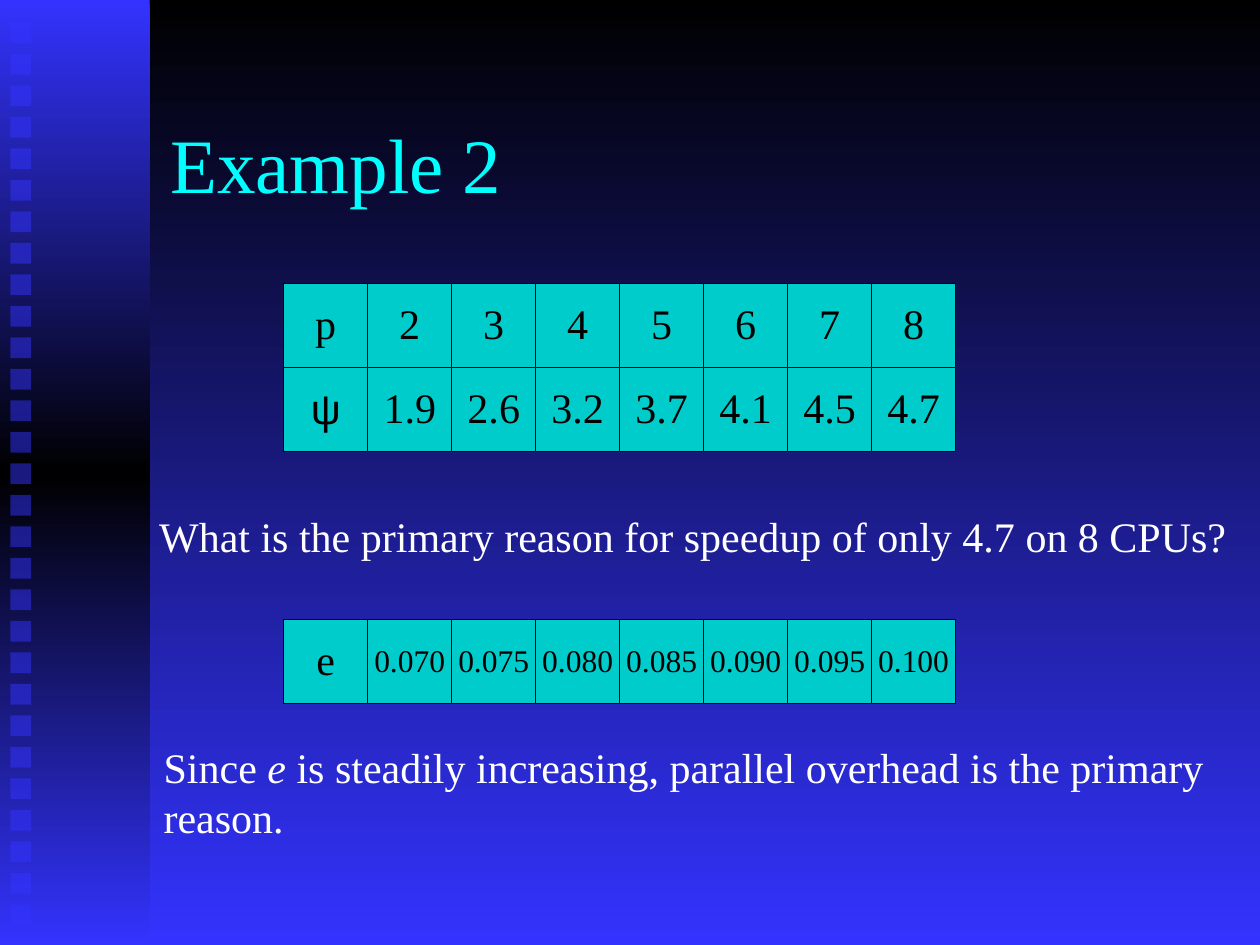
"""Build the "Example 2" speedup slide."""
import dataclasses

import lxml.etree
import pptx
import pptx.dml.color
import pptx.enum.shapes
import pptx.enum.text
import pptx.oxml.ns
import pptx.util

Cm = pptx.util.Cm
Pt = pptx.util.Pt
RGB = pptx.dml.color.RGBColor.from_string
qn = pptx.oxml.ns.qn
MIDDLE = pptx.enum.text.MSO_ANCHOR.MIDDLE
TOP = pptx.enum.text.MSO_ANCHOR.TOP


@dataclasses.dataclass(frozen=True)
class Theme:
    blue: str = "3333FF"
    black: str = "000000"
    cyan: str = "00FFFF"
    teal: str = "00CCCC"
    white: str = "FFFFFF"
    font: str = "Times New Roman"
    symbol_font: str = "Arial"
    title: int = 44
    body: int = 24
    small: int = 18
    border: float = 0.75


class SlideBuilder:
    def __init__(self, prs, theme):
        self.theme = theme
        self.s = prs.slides.add_slide(prs.slide_layouts[6])

    def gradient(self, fill, element, colors):
        fill.gradient()
        fill.gradient_angle = 270
        stops = element.xpath(".//a:gsLst")[0]
        for stop in list(stops):
            stops.remove(stop)
        for i, color in enumerate(colors):
            pos = str(100000 * i // (len(colors) - 1))
            stop = lxml.etree.SubElement(stops, qn("a:gs"), pos=pos)
            lxml.etree.SubElement(stop, qn("a:srgbClr"), val=color)

    def background(self, colors):
        self.gradient(self.s.background.fill, self.s.element, colors)

    def rect(self, x, y, w, h):
        sp = self.s.shapes.add_shape(
            pptx.enum.shapes.MSO_SHAPE.RECTANGLE, Cm(x), Cm(y), Cm(w), Cm(h))
        sp.shadow.inherit = False
        sp.line.fill.background()
        return sp

    def band(self, x, y, w, h, colors):
        sp = self.rect(x, y, w, h)
        self.gradient(sp.fill, sp.element, colors)

    def square(self, x, y, size, color, alpha):
        sp = self.rect(x, y, size, size)
        sp.fill.solid()
        sp.fill.fore_color.rgb = RGB(color)
        clr = sp.element.spPr.find(qn("a:solidFill")).find(qn("a:srgbClr"))
        lxml.etree.SubElement(clr, qn("a:alpha"), val=str(alpha * 1000))

    def run(self, p, text, size, color, font=None, italic=False):
        r = p.add_run()
        r.text = text
        r.font.name = font or self.theme.font
        r.font.size = Pt(size)
        r.font.color.rgb = RGB(color)
        r.font.italic = italic

    def text(self, x, y, w, h, paragraphs, size, color, anchor=TOP, wrap=False):
        tf = self.s.shapes.add_textbox(Cm(x), Cm(y), Cm(w), Cm(h)).text_frame
        tf.word_wrap = wrap
        tf.vertical_anchor = anchor
        for i, runs in enumerate(paragraphs):
            p = tf.add_paragraph() if i else tf.paragraphs[0]
            for text, italic in runs:
                self.run(p, text, size, color, italic=italic)

    def cell(self, cell, text, size, font):
        cell.margin_left = cell.margin_right = Cm(0.05)
        cell.vertical_anchor = MIDDLE
        p = cell.text_frame.paragraphs[0]
        p.alignment = pptx.enum.text.PP_ALIGN.CENTER
        self.run(p, text, size, self.theme.black, font)
        tc_pr = cell._tc.get_or_add_tcPr()
        for side in ("a:lnL", "a:lnR", "a:lnT", "a:lnB"):
            ln = lxml.etree.SubElement(
                tc_pr, qn(side), w=str(Pt(self.theme.border)))
            solid = lxml.etree.SubElement(ln, qn("a:solidFill"))
            lxml.etree.SubElement(solid, qn("a:srgbClr"), val=self.theme.black)
        cell.fill.solid()
        cell.fill.fore_color.rgb = RGB(self.theme.teal)

    def table(self, x, y, w, row_h, rows, value_size):
        table = self.s.shapes.add_table(
            len(rows), len(rows[0]), Cm(x), Cm(y), Cm(w),
            Cm(row_h * len(rows))).table
        table.first_row = table.horz_banding = False
        for col in table.columns:
            col.width = Cm(w / len(rows[0]))
        for i, row in enumerate(rows):
            table.rows[i].height = Cm(row_h)
            for j, text in enumerate(row):
                size = value_size if j else self.theme.body
                font = self.theme.symbol_font if text == "ψ" else None
                self.cell(table.cell(i, j), text, size, font)


def main():
    prs = pptx.Presentation()
    prs.slide_width, prs.slide_height = Cm(25.4), Cm(19.05)
    theme = Theme()
    b = SlideBuilder(prs, theme)

    b.background([theme.black, theme.blue])
    b.band(0, 0, 3.02, 19.05, [theme.blue, theme.black, theme.blue])
    squares, span = 29, 17.78
    for i in range(squares):
        b.square(0.21, 0.45 + i * span / (squares - 1), 0.42, theme.blue, 50)

    b.text(3.18, 1.7, 21.59, 3.18, [[("Example 2", False)]],
           theme.title, theme.cyan, MIDDLE, True)
    speedup = [
        ["p", "2", "3", "4", "5", "6", "7", "8"],
        ["ψ", "1.9", "2.6", "3.2", "3.7", "4.1", "4.5", "4.7"],
    ]
    b.table(5.72, 5.72, 13.55, 1.69, speedup, theme.body)
    question = "What is the primary reason for speedup of only 4.7 on 8 CPUs?"
    b.text(2.96, 10.16, 22.02, 1.27, [[(question, False)]],
           theme.body, theme.white)
    serial = [["e", "0.070", "0.075", "0.080", "0.085", "0.090", "0.095", "0.100"]]
    b.table(5.72, 12.49, 13.55, 1.69, serial, theme.small)
    answer = [
        [("Since ", False), ("e", True),
         (" is steadily increasing, parallel overhead is the primary", False)],
        [("reason.", False)],
    ]
    b.text(3.05, 14.82, 21.69, 2.29, answer, theme.body, theme.white)
    prs.save("out.pptx")


if __name__ == "__main__":
    main()
